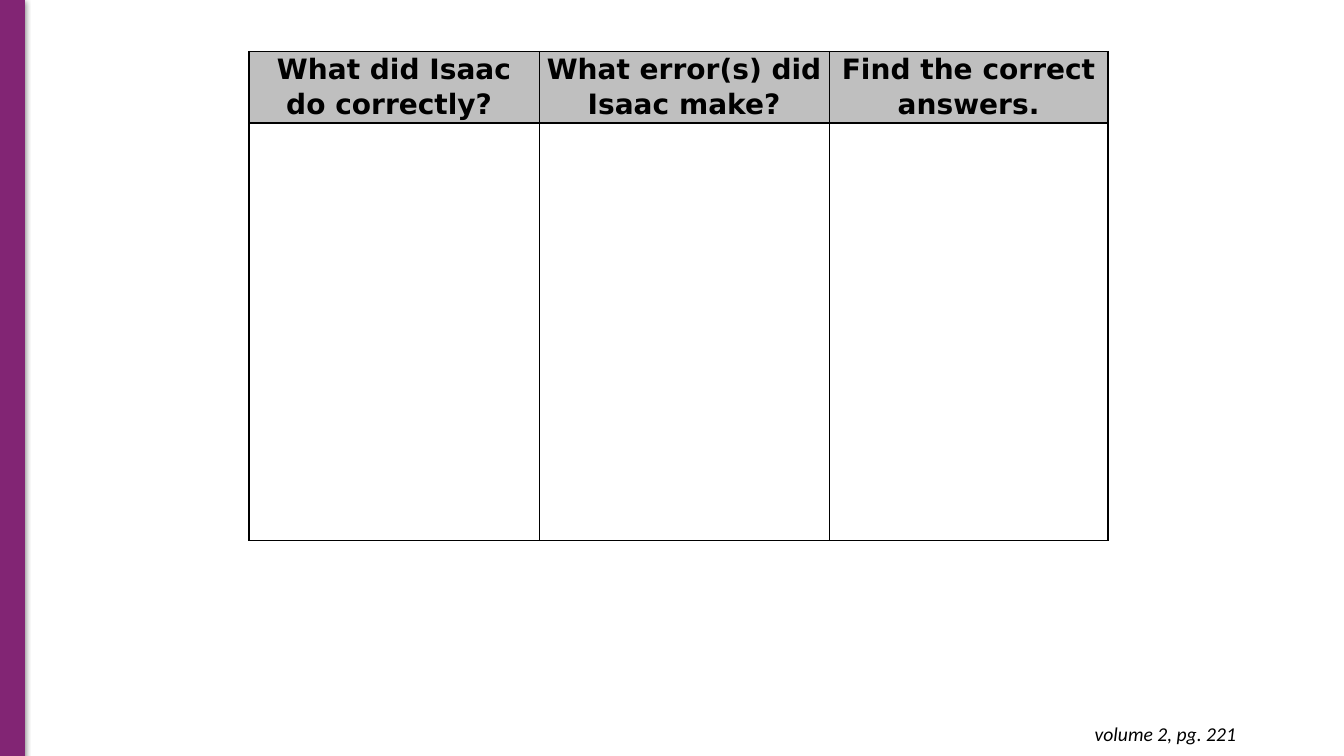
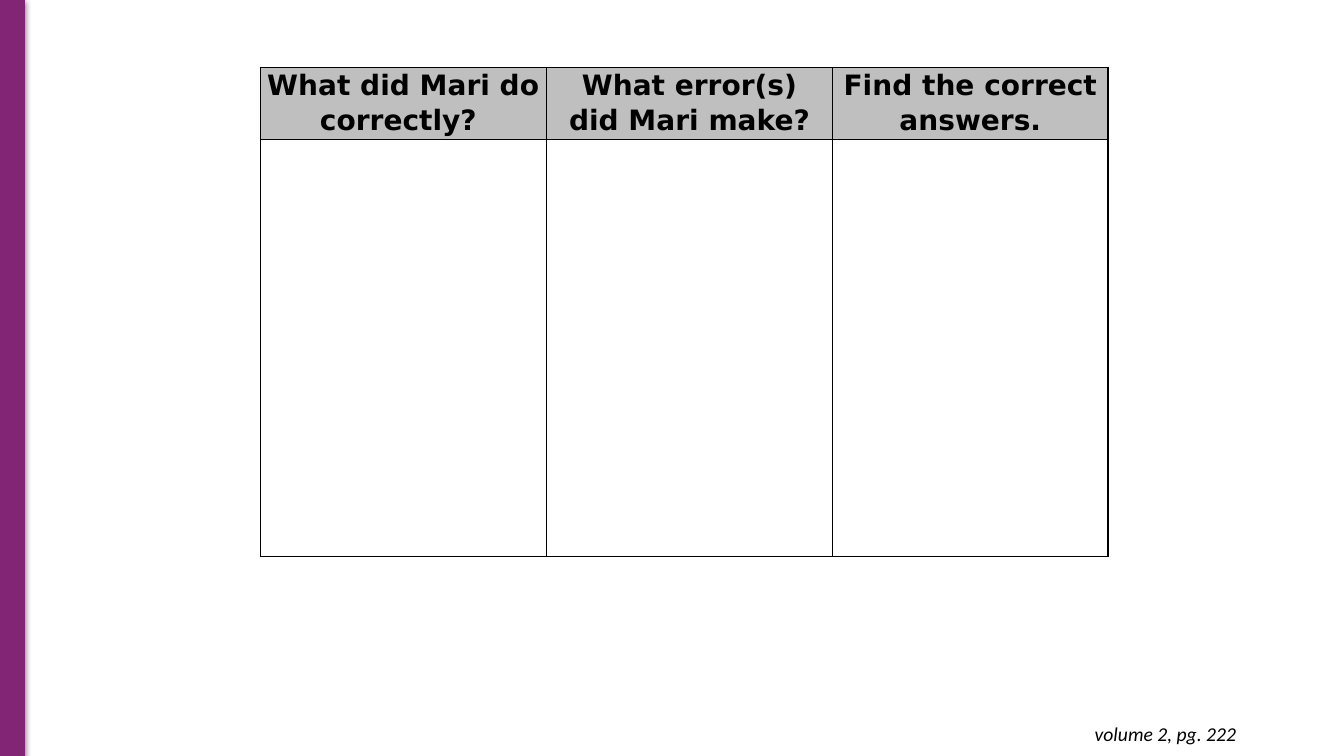
from dataclasses import dataclass

from lxml.etree import SubElement
from pptx import Presentation
from pptx.dml.color import RGBColor as Color
from pptx.enum.shapes import MSO_SHAPE as Shape
from pptx.enum.text import MSO_ANCHOR as Anchor, MSO_AUTO_SIZE as AutoSize, PP_ALIGN as Align
from pptx.oxml.ns import qn
from pptx.util import Inches, Pt


@dataclass(frozen=True)
class Theme:
    accent: str = "822574"
    header: str = "BFBFBF"
    ink: str = "000000"
    header_font: str = "DejaVu Sans"
    note_font: str = "Calibri"
    header_size: float = 20
    note_size: float = 14
    border: float = 1
    band_line: float = 0.75
    shadow_blur: float = 4.5
    shadow_distance: float = 1.5


THEME = Theme()
WIDTH, HEIGHT = 13.33, 7.5
BAND_BOX = (0, 0, 0.24, 7.51)
NOTE_BOX = (9.48, 7.06, 2.88, 0.44)
TABLE_RIGHT = 10.99
COLUMN_WEIGHTS = (26, 26, 25)
ROW_HEIGHTS = (0.71, 4.14)
CELL_MARGIN = 0.07
NOTE_MARGIN = 0.1

PAGES = (
    {"name": "Isaac", "left": 2.47, "top": 0.51, "number": 221},
    {"name": "Mari", "left": 2.58, "top": 0.67, "number": 222},
)


def write(frame, text, *, font, size, align, bold=False, italic=False, spacing=None):
    para = frame.paragraphs[0]
    para.alignment = align
    para.line_spacing = spacing
    span = para.add_run()
    span.text = text
    span.font.name = font
    span.font.size = Pt(size)
    span.font.bold = bold
    span.font.italic = italic
    span.font.color.rgb = Color.from_string(THEME.ink)


def add_color(parent, value):
    fill = SubElement(parent, qn("a:solidFill"))
    return SubElement(fill, qn("a:srgbClr"), val=value)


def add_shadow(shape):
    effects = SubElement(shape.element.spPr, qn("a:effectLst"))
    shadow = SubElement(
        effects, qn("a:outerShdw"),
        blurRad=str(Pt(THEME.shadow_blur)), dist=str(Pt(THEME.shadow_distance)),
        dir="5400000", rotWithShape="0",
    )
    color = SubElement(shadow, qn("a:srgbClr"), val=THEME.ink)
    SubElement(color, qn("a:alpha"), val="50000")


def add_band(page, box):
    band = page.shapes.add_shape(Shape.RECTANGLE, *map(Inches, box))
    accent = Color.from_string(THEME.accent)
    band.fill.solid()
    band.fill.fore_color.rgb = accent
    band.line.color.rgb = accent
    band.line.width = Pt(THEME.band_line)
    add_shadow(band)


def add_note(page, box, text):
    note = page.shapes.add_textbox(*map(Inches, box))
    frame = note.text_frame
    frame.word_wrap = True
    frame.auto_size = AutoSize.SHAPE_TO_FIT_TEXT
    frame.margin_left = frame.margin_right = Inches(NOTE_MARGIN)
    frame.margin_top = frame.margin_bottom = Inches(NOTE_MARGIN)
    write(frame, text, font=THEME.note_font, size=THEME.note_size,
          align=Align.RIGHT, italic=True)


def style_cell(cell, fill=None):
    cell.margin_left = cell.margin_right = Inches(CELL_MARGIN)
    cell.margin_top = cell.margin_bottom = 0
    cell.vertical_anchor = Anchor.TOP
    properties = cell._tc.get_or_add_tcPr()
    for side in ("lnL", "lnR", "lnT", "lnB"):
        edge = SubElement(properties, qn(f"a:{side}"), w=str(Pt(THEME.border)))
        add_color(edge, THEME.ink)
    if fill:
        cell.fill.solid()
        cell.fill.fore_color.rgb = Color.from_string(fill)
    else:
        cell.fill.background()


def add_question_table(page, box, questions):
    left, top, width, height = box
    table = page.shapes.add_table(
        len(ROW_HEIGHTS), len(questions), *map(Inches, (left, top, width, height))
    ).table
    table.first_row = table.horz_banding = False
    for column, weight in zip(table.columns, COLUMN_WEIGHTS):
        column.width = Inches(width * weight / sum(COLUMN_WEIGHTS))
    for row, share in zip(table.rows, ROW_HEIGHTS):
        row.height = Inches(height * share / sum(ROW_HEIGHTS))
    for index, question in enumerate(questions):
        header, answer = table.cell(0, index), table.cell(1, index)
        style_cell(header, THEME.header)
        style_cell(answer)
        write(header.text_frame, question, font=THEME.header_font,
              size=THEME.header_size, align=Align.CENTER, bold=True, spacing=1.07)


def add_error_page(deck, name, left, top, number):
    page = deck.slides.add_slide(deck.slide_layouts.get_by_name("Blank"))
    questions = (
        f"What did {name} do correctly? ",
        f"What error(s) did {name} make?",
        "Find the correct answers.",
    )
    add_band(page, BAND_BOX)
    add_question_table(page, (left, top, TABLE_RIGHT - left, sum(ROW_HEIGHTS)), questions)
    add_note(page, NOTE_BOX, f"volume 2, pg. {number}")


def main():
    deck = Presentation()
    deck.slide_width, deck.slide_height = Inches(WIDTH), Inches(HEIGHT)
    for details in PAGES:
        add_error_page(deck, **details)
    deck.save("out.pptx")


if __name__ == "__main__":
    main()
